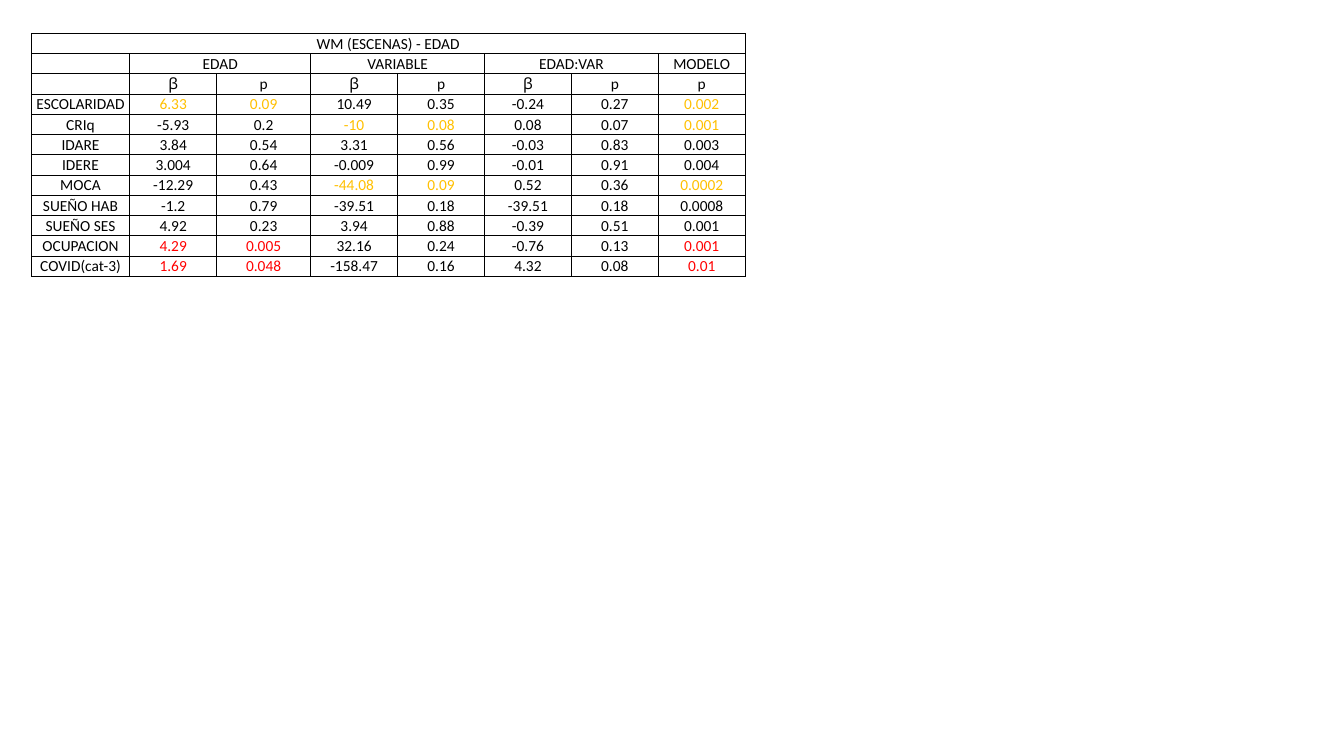
from dataclasses import dataclass

from lxml.etree import SubElement
from pptx import Presentation
from pptx.dml.color import RGBColor
from pptx.enum.text import MSO_ANCHOR, PP_ALIGN
from pptx.oxml.ns import qn
from pptx.table import Table, _Cell
from pptx.util import Cm, Pt

MIDDLE = MSO_ANCHOR.MIDDLE
CENTER = PP_ALIGN.CENTER
COLORS = {"ink": "000000", "gold": "FFC000", "red": "FF0000"}
FONT = "Calibri"
SIZE = Pt(11)
EDGE = Pt(0.5)
PAD = Cm(0.02)
WIDTHS = [2.48, 2.19, 2.37] + [2.19] * 5
HEIGHT = 0.51
BETA = "\ua7b5"


@dataclass
class Row:
    """One table row, with the columns that stand out in a tint."""
    cells: list[str]
    tint: str = "ink"
    hits: tuple[int, ...] = ()


@dataclass
class Span:
    """A run of merged cells in one row."""
    row: int
    first: int
    last: int


ROWS = [
    Row(["WM (ESCENAS) - EDAD"] + [""] * 7),
    Row(["", "EDAD", "", "VARIABLE", "", "EDAD:VAR", "", "MODELO"]),
    Row([""] + [BETA, "p"] * 3 + ["p"]),
    Row(["ESCOLARIDAD", "6.33", "0.09", "10.49", "0.35", "-0.24", "0.27", "0.002"],
        "gold", (1, 2, 7)),
    Row(["CRIq", "-5.93", "0.2", "-10", "0.08", "0.08", "0.07", "0.001"],
        "gold", (3, 4, 7)),
    Row(["IDARE", "3.84", "0.54", "3.31", "0.56", "-0.03", "0.83", "0.003"]),
    Row(["IDERE", "3.004", "0.64", "-0.009", "0.99", "-0.01", "0.91", "0.004"]),
    Row(["MOCA", "-12.29", "0.43", "-44.08", "0.09", "0.52", "0.36", "0.0002"],
        "gold", (3, 4, 7)),
    Row(["SUEÑO HAB", "-1.2", "0.79", "-39.51", "0.18", "-39.51", "0.18", "0.0008"]),
    Row(["SUEÑO SES", "4.92", "0.23", "3.94", "0.88", "-0.39", "0.51", "0.001"]),
    Row(["OCUPACION", "4.29", "0.005", "32.16", "0.24", "-0.76", "0.13", "0.001"],
        "red", (1, 2, 7)),
    Row(["COVID(cat-3)", "1.69", "0.048", "-158.47", "0.16", "4.32", "0.08", "0.01"],
        "red", (1, 2, 7)),
]
SPANS = [Span(0, 0, 7)] + [Span(1, col, col + 1) for col in (1, 3, 5)]


def add_edges(cell: _Cell) -> None:
    """Draw a thin line on all four sides of a cell."""
    props = cell._tc.get_or_add_tcPr()
    for side in ("a:lnL", "a:lnR", "a:lnT", "a:lnB"):
        line = SubElement(props, qn(side), w=str(EDGE))
        fill = SubElement(line, qn("a:solidFill"))
        SubElement(fill, qn("a:srgbClr"), val=COLORS["ink"])


def fill_cell(cell: _Cell, text: str, tint: str) -> None:
    """Write and format one cell."""
    add_edges(cell)
    cell.fill.background()
    cell.vertical_anchor = MIDDLE
    cell.margin_left = cell.margin_right = cell.margin_top = PAD
    cell.margin_bottom = 0
    para = cell.text_frame.paragraphs[0]
    para.text = text
    para.alignment = CENTER
    for run in para.runs:
        run.font.name = FONT
        run.font.size = SIZE
        run.font.color.rgb = RGBColor.from_string(COLORS[tint])
    if not text:  # keeps an empty cell from stretching its row
        SubElement(para._p, qn("a:endParaRPr"), sz=str(int(SIZE.pt * 100)))


def fill_table(table: Table) -> None:
    """Size the grid, write every row and merge the headings."""
    table.first_row = table.horz_banding = False
    for col, width in zip(table.columns, WIDTHS):
        col.width = Cm(width)
    for r, row in enumerate(ROWS):
        table.rows[r].height = Cm(HEIGHT)
        for c, text in enumerate(row.cells):
            fill_cell(table.cell(r, c), text, row.tint if c in row.hits else "ink")
    for span in SPANS:
        table.cell(span.row, span.first).merge(table.cell(span.row, span.last))


deck = Presentation()
deck.slide_width = Cm(33.87)
deck.slide_height = Cm(19.05)
slide = deck.slides.add_slide(deck.slide_layouts[6])
frame = slide.shapes.add_table(len(ROWS), len(WIDTHS), Cm(0.79), Cm(0.84),
                               Cm(sum(WIDTHS)), Cm(HEIGHT * len(ROWS)))
fill_table(frame.table)
deck.save("out.pptx")
